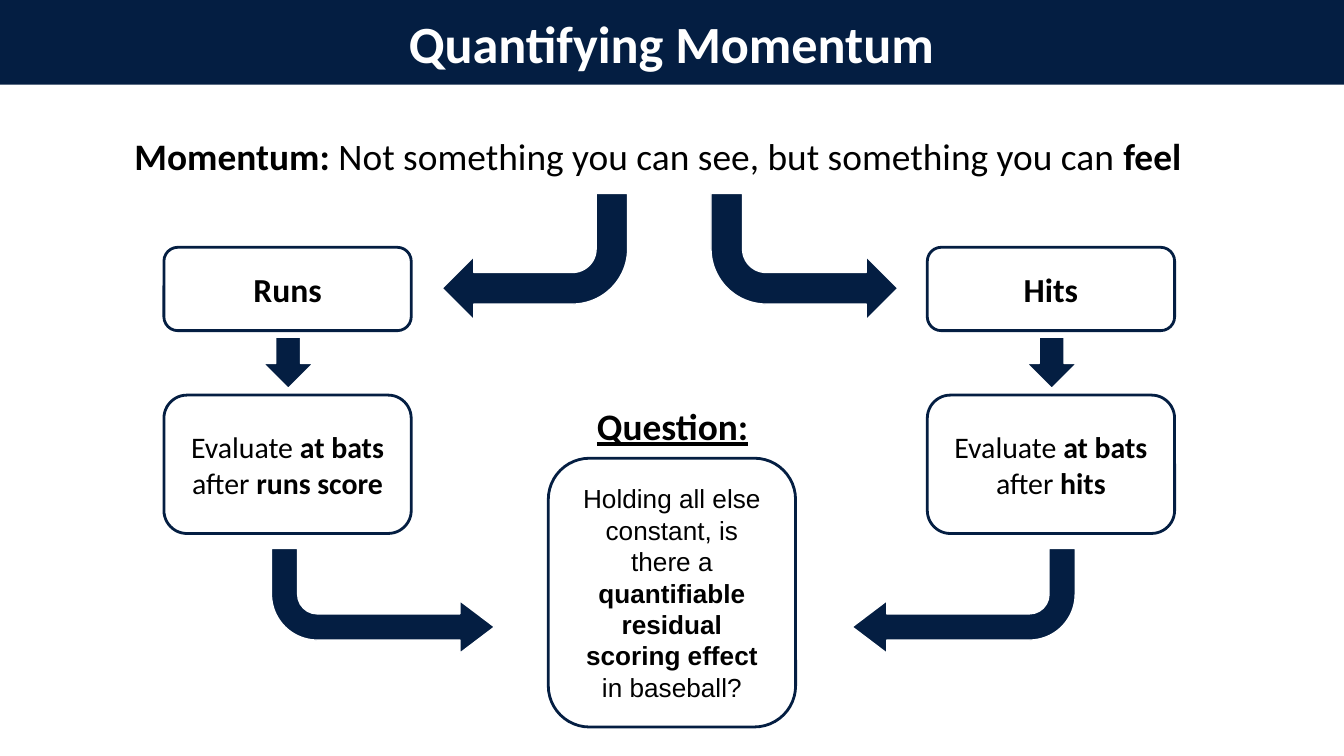
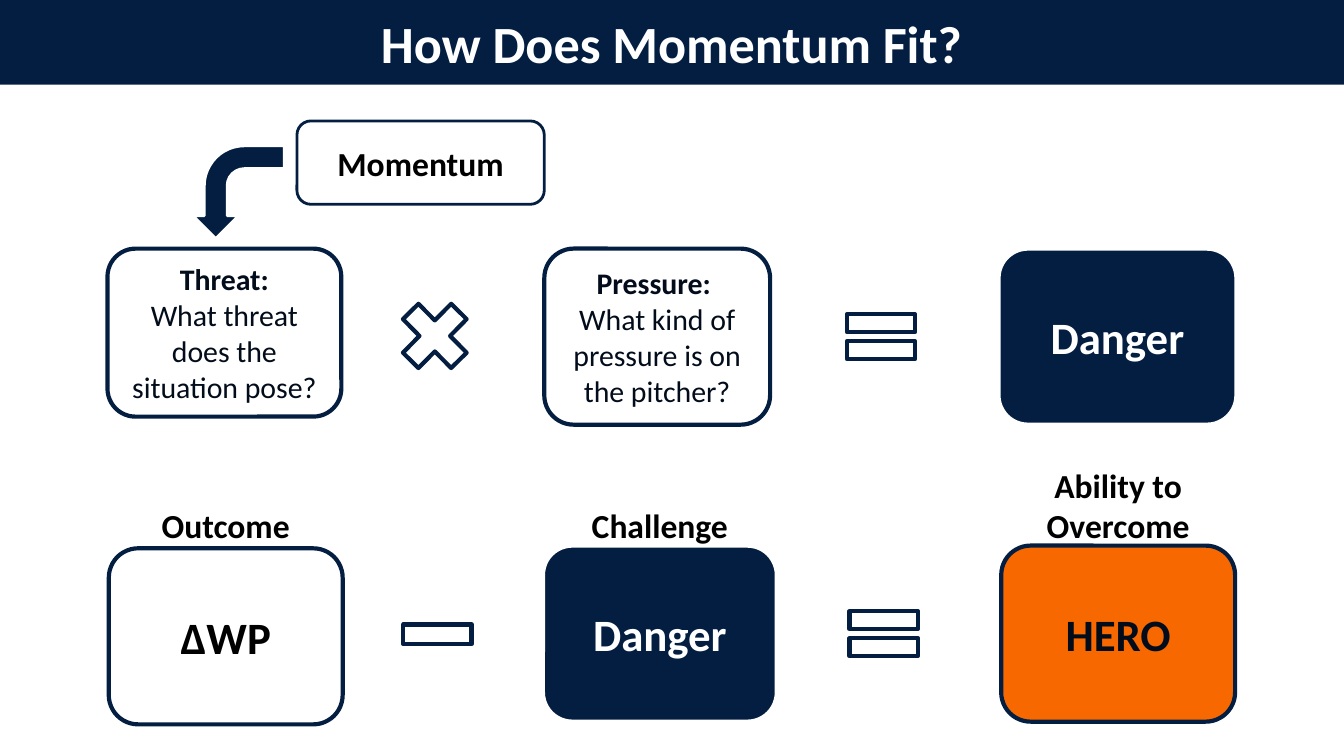
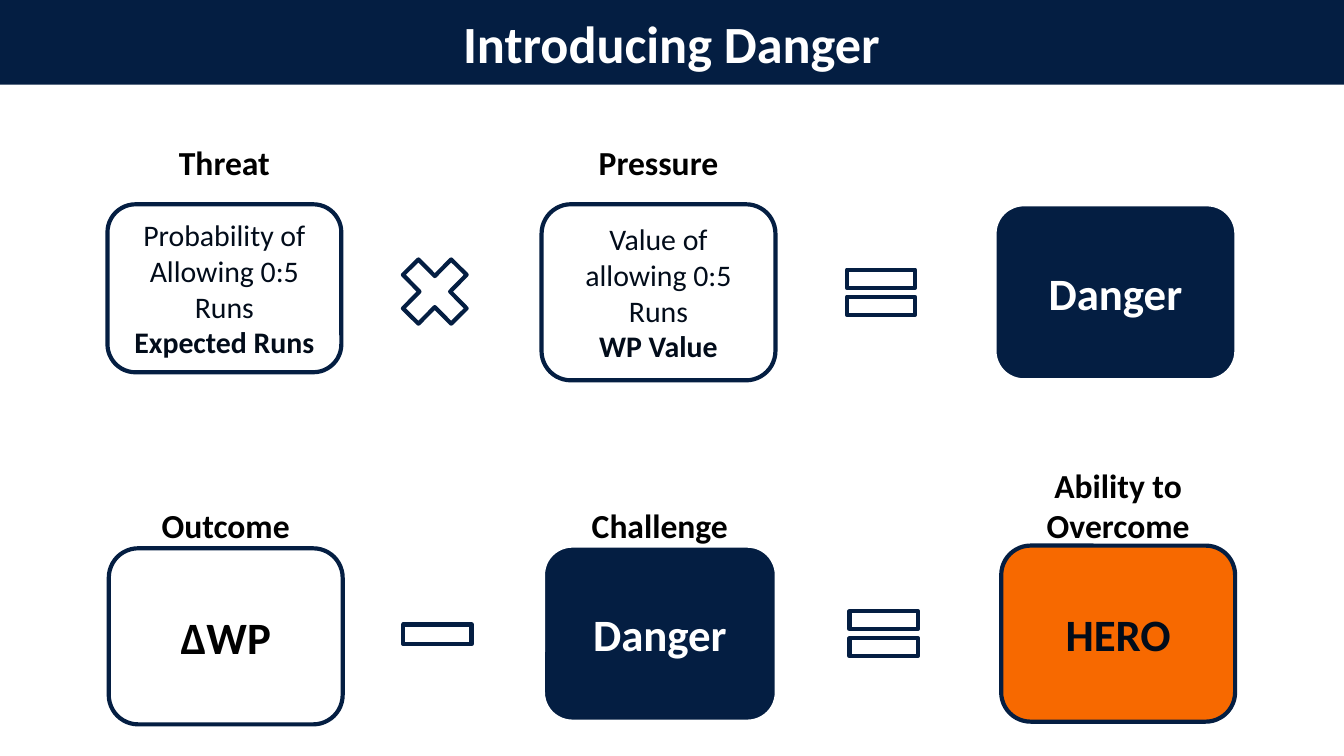
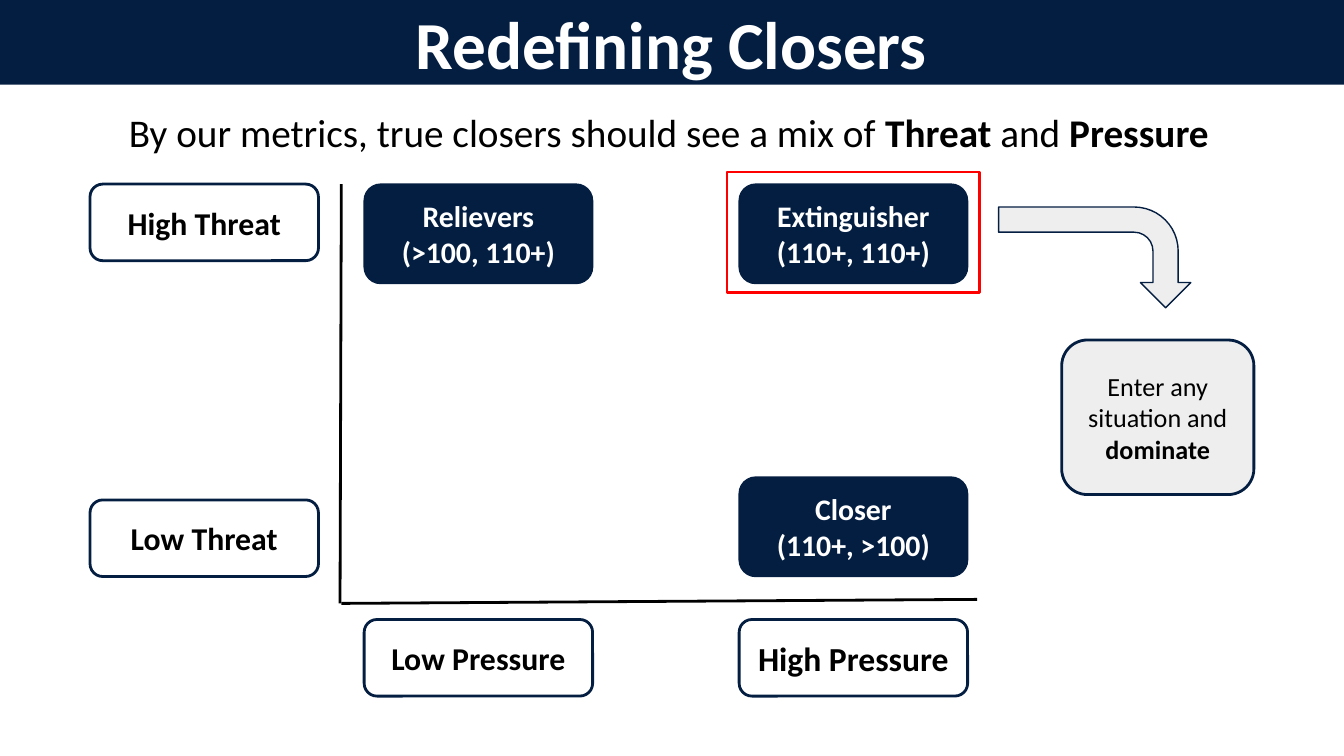
from dataclasses import dataclass

from lxml import etree
from pptx import Presentation
from pptx.dml.color import RGBColor
from pptx.enum.shapes import MSO_CONNECTOR, MSO_SHAPE
from pptx.enum.text import MSO_ANCHOR, MSO_AUTO_SIZE, PP_ALIGN
from pptx.oxml.ns import qn
from pptx.util import Emu, Pt

SCALE = 9144  # EMU in one px: 100 px to the inch
SLIDE_WIDTH = 1000
TITLE_ONLY = 5

RECT = MSO_SHAPE.RECTANGLE
ROUNDED = MSO_SHAPE.ROUNDED_RECTANGLE
BENT_ARROW = MSO_SHAPE.BENT_ARROW
DOWN_ARROW = MSO_SHAPE.DOWN_ARROW
TIMES = MSO_SHAPE.MATH_MULTIPLY
MINUS = MSO_SHAPE.MATH_MINUS
EQUALS = MSO_SHAPE.MATH_EQUAL
STRAIGHT = MSO_CONNECTOR.STRAIGHT
CENTER, LEFT = PP_ALIGN.CENTER, PP_ALIGN.LEFT
MIDDLE, TOP = MSO_ANCHOR.MIDDLE, MSO_ANCHOR.TOP
FIXED_SIZE = MSO_AUTO_SIZE.NONE


@dataclass(frozen=True)
class Theme:
    navy: str = "041E42"
    ink: str = "020C1A"
    black: str = "000000"
    white: str = "FFFFFF"
    orange: str = "F76900"
    gray: str = "EEEEEE"
    red: str = "FF0000"
    font: str = "Calibri"
    alt_font: str = "Arial"
    title: int = 28
    big_title: int = 36
    result: int = 24
    closing_lead: int = 21
    lead: int = 20
    heading: int = 18
    axis: int = 17
    body: int = 16
    small: int = 14
    thin: float = 0.75
    medium: float = 1.5
    thick: float = 2.25


THEME = Theme()


def px(length):
    return Emu(length * SCALE)


def rgb(color):
    return RGBColor.from_string(color)


def write(frame, text, size=THEME.body, color=THEME.black, font=THEME.font,
          bold=False, underline=None, align=CENTER, anchor=MIDDLE):
    """Fill a text frame; newlines part paragraphs and ** toggles bold."""
    frame.word_wrap = True
    frame.auto_size = FIXED_SIZE
    frame.vertical_anchor = anchor
    frame.margin_left = frame.margin_right = px(10)
    frame.margin_top = frame.margin_bottom = px(10)
    for number, line in enumerate(text.split("\n")):
        paragraph = frame.add_paragraph() if number else frame.paragraphs[0]
        paragraph.alignment = align
        for part, words in enumerate(line.split("**")):
            if not words:
                continue
            run = paragraph.add_run()
            run.text = words
            run.font.name = font
            run.font.size = Pt(size)
            run.font.bold = bold != (part % 2 == 1)
            run.font.underline = underline
            run.font.color.rgb = rgb(color)


class Deck:
    """Holds the presentation, its theme and the slide being built."""

    def __init__(self, theme):
        self.theme = theme
        self.prs = Presentation()
        self.prs.slide_width = px(SLIDE_WIDTH)
        self.prs.slide_height = self.prs.slide_width * 9 // 16
        self.slide = None

    def new_slide(self, title, size=THEME.title):
        self.slide = self.prs.slides.add_slide(self.prs.slide_layouts[TITLE_ONLY])
        self.shape(RECT, 0, 0, SLIDE_WIDTH, 63, fill=self.theme.navy)
        heading = self.slide.shapes.title
        heading.left, heading.top = px(72), px(0)
        heading.width, heading.height = px(855), px(63)
        write(heading.text_frame, title, size=size, color=self.theme.white, bold=True)
        self.slide.shapes._spTree.append(heading._element)  # in front of the band

    def shape(self, preset, x, y, w, h, fill=None, line=None, weight=THEME.medium):
        shape = self.slide.shapes.add_shape(preset, px(x), px(y), px(w), px(h))
        shape.shadow.inherit = False
        if fill:
            shape.fill.solid()
            shape.fill.fore_color.rgb = rgb(fill)
        else:
            shape.fill.background()
        if line:
            shape.line.color.rgb = rgb(line)
            shape.line.width = Pt(weight)
        else:
            shape.line.fill.background()
        return shape

    def box(self, x, y, w, h, text, fill=None, line=THEME.navy,
            weight=THEME.medium, **text_format):
        card = self.shape(ROUNDED, x, y, w, h, fill, line, weight)
        write(card.text_frame, text, **text_format)

    def label(self, x, y, w, h, text, **text_format):
        holder = self.slide.shapes.add_textbox(px(x), px(y), px(w), px(h))
        write(holder.text_frame, text, **text_format)

    def arrow(self, preset, x, y, w, h, rotation=0, flip=False, head=None,
              fill=THEME.navy, line=THEME.white, weight=THEME.thin):
        """Add a block arrow; head is the head length of a bent one."""
        arrow = self.shape(preset, x, y, w, h, fill, line, weight)
        arrow.rotation = rotation
        if flip:
            arrow._element.spPr.xfrm.set("flipH", "1")
        if head:
            arrow.adjustments[2] = head

    def operator(self, preset, x, y, w, h):
        self.shape(preset, x, y, w, h, self.theme.white, self.theme.navy, self.theme.thick)

    def axis(self, x1, y1, x2, y2):
        axis = self.slide.shapes.add_connector(STRAIGHT, px(x1), px(y1), px(x2), px(y2))
        axis.line.color.rgb = rgb(self.theme.black)
        axis.line.width = Pt(self.theme.medium)
        etree.SubElement(axis._element.spPr, qn("a:effectLst"))

    # Elements of the two equations
    def term(self, x, y, w, h, text, **text_format):
        text_format = {"color": self.theme.ink, "fill": self.theme.white, **text_format}
        self.box(x, y, w, h, text, weight=self.theme.thick, **text_format)

    def result(self, x, y, w, text, fill=THEME.navy, line=THEME.white, color=THEME.white):
        self.term(x, y, w, 131, text, fill=fill, line=line, color=color,
                  size=self.theme.result, bold=True)

    def caption(self, x, y, text, h=37):
        self.label(x, y, 174, h, text, size=self.theme.heading, bold=True)

    def danger_equation(self, y, threat, pressure, pressure_span, danger_span):
        """Threat times pressure equals danger; a span is (left, width)."""
        self.term(80, y, 174, 125, threat)
        self.operator(TIMES, 289, y + 30, 69, 70)
        self.term(pressure_span[0], y, pressure_span[1], 131, pressure)
        self.operator(EQUALS, 621, y + 37, 69, 57)
        self.result(danger_span[0], y, danger_span[1], "Danger")

    def hero_equation(self):
        theme = self.theme
        self.result(81, 408, 174, "ΔWP", theme.white, theme.navy, theme.black)
        self.operator(MINUS, 291, 441, 69, 62)
        self.result(404, 406, 174, "Danger")
        self.operator(EQUALS, 623, 443, 69, 57)
        self.result(745, 406, 174, "HERO", theme.orange, theme.navy, theme.ink)
        self.caption(81, 372, "Outcome")
        self.caption(404, 372, "Challenge")
        self.caption(745, 345, "Ability to Overcome", h=62)


def quantifying_momentum(deck):
    theme = deck.theme
    deck.new_slide("Quantifying Momentum")
    deck.label(62, 87, 855, 57, "**Momentum: **Not something you can see, "
               "but something you can **feel**", size=theme.lead)
    deck.arrow(BENT_ARROW, 329, 144, 138, 94, rotation=180)
    deck.arrow(BENT_ARROW, 529, 144, 139, 94, rotation=180, flip=True)
    for x, event, trigger in ((122, "Runs", "runs score"), (690, "Hits", "hits")):
        deck.box(x, 184, 184, 62, event, size=theme.heading, bold=True)
        deck.arrow(DOWN_ARROW, x + 74, 251, 37, 38)
        deck.box(x, 294, 184, 103, f"Evaluate **at bats** after **{trigger}**")
    deck.arrow(BENT_ARROW, 202, 408, 166, 78, rotation=180, flip=True, head=0.33)
    deck.arrow(BENT_ARROW, 634, 408, 166, 78, rotation=180, head=0.33)
    deck.label(410, 294, 181, 45, "Question:", size=theme.lead, bold=True, underline=True)
    deck.box(408, 341, 184, 200, "Holding all else constant, is there a "
             "**quantifiable residual scoring effect** in baseball?",
             size=theme.small, font=theme.alt_font)


def momentum_fit(deck):
    theme = deck.theme
    deck.new_slide("How Does Momentum Fit?")
    deck.box(221, 90, 184, 62, "Momentum", size=theme.heading, bold=True)
    deck.arrow(BENT_ARROW, 143, 109, 69, 68, rotation=270, flip=True, weight=theme.medium)
    deck.danger_equation(185, "**Threat:**\nWhat threat does the situation pose?",
                         "**Pressure: **\nWhat kind of pressure is on the pitcher?",
                         pressure_span=(405, 168), danger_span=(743, 177))
    deck.hero_equation()


def introducing_danger(deck):
    deck.new_slide("Introducing Danger")
    deck.danger_equation(152, "Probability of Allowing 0:5 Runs\n**Expected Runs**",
                         "Value of allowing 0:5 Runs\n**WP Value**",
                         pressure_span=(403, 174), danger_span=(740, 180))
    deck.caption(80, 102, "Threat")
    deck.caption(403, 102, "Pressure")
    deck.hero_equation()


def redefining_closers(deck):
    theme = deck.theme
    low_x, high_x = 271, 550
    high_y, low_y = 137, 372
    deck.new_slide("Redefining Closers", size=theme.big_title)
    deck.label(86, 71, 828, 56, "By our metrics, true closers should see a mix of "
               "**Threat **and **Pressure**", size=theme.closing_lead,
               align=LEFT, anchor=TOP)
    deck.axis(254, 137, 253, 449)
    deck.axis(727, 446, 254, 449)
    deck.shape(RECT, 541, 128, 188, 90, line=theme.red)

    roles = ((low_x, high_y, "Relievers\n(>100, 110+)"),
             (high_x, high_y, "Extinguisher (110+, 110+)"),
             (high_x, 355, "Closer\n(110+, >100)"))
    for x, y, role in roles:
        deck.box(x, y, 170, 74, role, fill=theme.navy, weight=theme.thin,
                 color=theme.white, bold=True)

    levels = ((67, high_y, "High Threat", theme.axis),
              (67, low_y, "Low Threat", theme.axis),
              (low_x, 461, "Low Pressure", theme.axis),
              (high_x, 461, "High Pressure", theme.heading))
    for x, y, level, size in levels:
        deck.box(x, y, 170, 57, level, size=size, bold=True)

    deck.arrow(BENT_ARROW, 777, 120, 75, 143, rotation=90, fill=theme.gray, line=theme.navy)
    deck.box(790, 253, 143, 115, "Enter any situation and **dominate**",
             fill=theme.gray, size=theme.small)


def main():
    deck = Deck(THEME)
    quantifying_momentum(deck)
    momentum_fit(deck)
    introducing_danger(deck)
    redefining_closers(deck)
    deck.prs.save("out.pptx")


if __name__ == "__main__":
    main()
